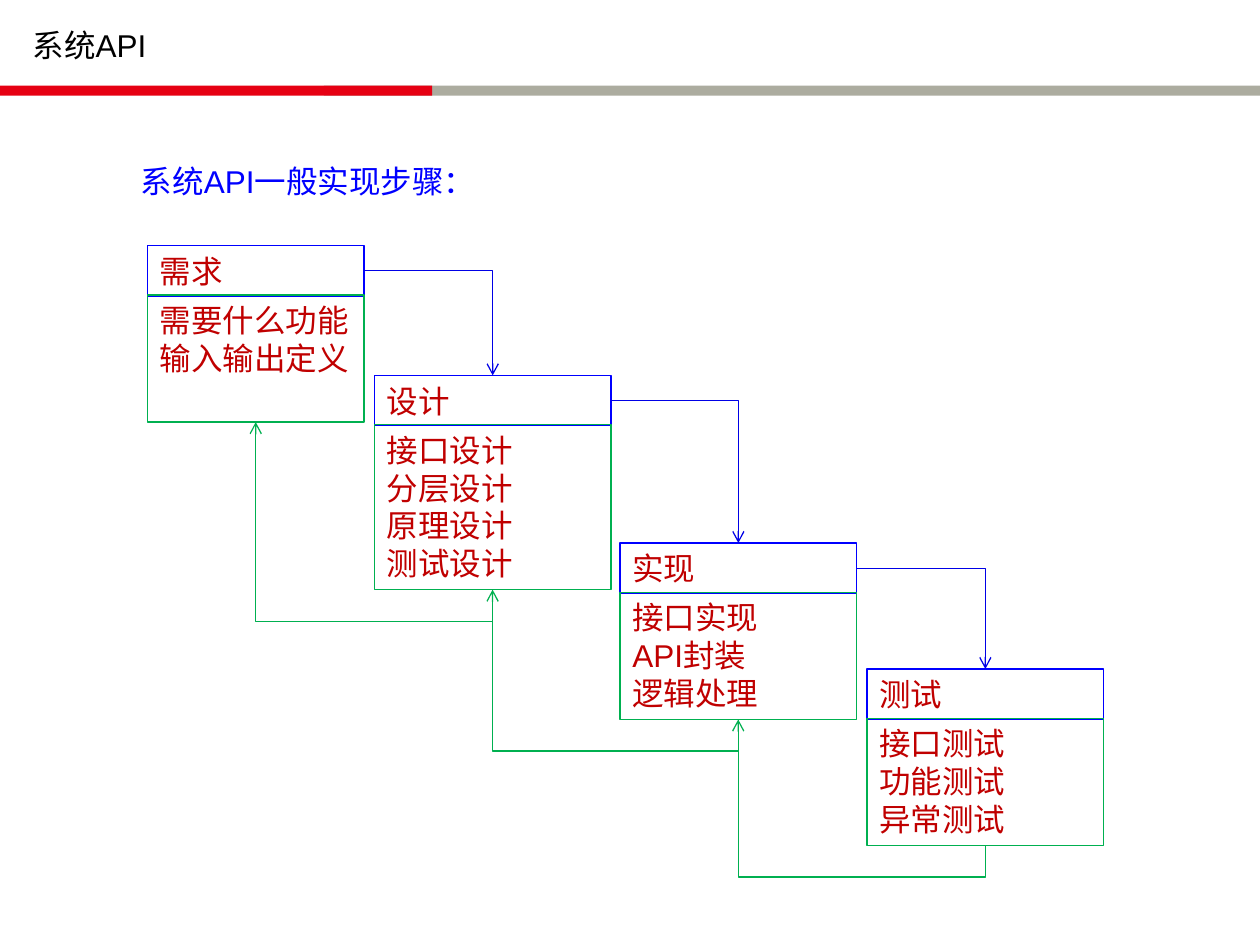
from lxml import etree
from pptx import Presentation
from pptx.dml.color import RGBColor
from pptx.enum.shapes import MSO_CONNECTOR, MSO_SHAPE
from pptx.enum.text import MSO_ANCHOR, MSO_AUTO_SIZE, PP_ALIGN
from pptx.oxml.ns import qn
from pptx.util import Inches, Pt

BLUE, GREEN, RED = "0000FF", "00B050", "C00000"
TOP, BOTTOM, RIGHT = 0, 2, 3
HEAD_H, HEAD_STEP, LINE_H, LOOP_DROP = 0.4, 0.39, 0.3, 0.25

STEPS = [
    (1.17, 1.95, 1.72, "需求", ["需要什么功能", "输入输出定义"]),
    (2.97, 2.98, 1.88, "设计", ["接口设计", "分层设计", "原理设计", "测试设计"]),
    (4.92, 4.31, 1.88, "实现", ["接口实现", "API封装", "逻辑处理"]),
    (6.88, 5.31, 1.88, "测试", ["接口测试", "功能测试", "异常测试"]),
]


def rgb(value):
    """Turn a hex string into a colour."""
    return RGBColor.from_string(value)


def write(sp, lines, color):
    """Write left-aligned 18 pt lines from the top of a shape."""
    tf = sp.text_frame
    tf.word_wrap = True
    tf.auto_size = MSO_AUTO_SIZE.NONE
    tf.vertical_anchor = MSO_ANCHOR.TOP
    for i, line in enumerate(lines):
        p = tf.add_paragraph() if i else tf.paragraphs[0]
        p.alignment = PP_ALIGN.LEFT
        r = p.add_run()
        r.text = line
        r.font.size = Pt(18)
        r.font.name = "Arial"
        r.font.color.rgb = rgb(color)


def add_bar(s, left, top, width, height, color):
    """Add one solid bar."""
    sp = s.shapes.add_shape(MSO_SHAPE.RECTANGLE, Inches(left), Inches(top),
                            Inches(width), Inches(height))
    sp.shadow.inherit = False
    sp.fill.solid()
    sp.fill.fore_color.rgb = rgb(color)
    sp.line.fill.background()


def add_header(s, left, top, width):
    """Place the slide title and the two-colour rule below it."""
    title = s.shapes.title
    title.left, title.top = Inches(left + 0.16), Inches(top + 0.16)
    title.width, title.height = Inches(width - 0.32), Inches(0.4)
    write(title, ["系统API"], "000000")
    add_bar(s, left + 2.57, top + 0.68, width - 2.57, 0.08, "ACAC9F")
    add_bar(s, left, top + 0.68, 3.43, 0.08, "E60013")


def add_heading(s, left, top, width, height):
    """Place the heading above the steps."""
    sp = s.shapes.add_textbox(Inches(left), Inches(top), Inches(width), Inches(height))
    write(sp, ["系统API一般实现步骤："], BLUE)


def add_box(s, left, top, width, height, color, lines):
    """Add an outlined box of text."""
    sp = s.shapes.add_shape(MSO_SHAPE.RECTANGLE, Inches(left), Inches(top),
                            Inches(width), Inches(height))
    sp.shadow.inherit = False
    sp.fill.background()
    sp.line.color.rgb = rgb(color)
    sp.line.width = Pt(0.75)
    write(sp, lines, RED)
    return sp


def add_step(s, left, top, width, name, items):
    """Add a step as a named box over its list of tasks."""
    head = add_box(s, left, top, width, HEAD_H, BLUE, [name])
    height = 0.11 + LINE_H * max(3, len(items))
    body = add_box(s, left, top + HEAD_STEP, width, height, GREEN, items)
    return head, body


def add_arrow(s, start, start_site, end, end_site, color):
    """Add an elbow arrow glued to two boxes."""
    c = s.shapes.add_connector(MSO_CONNECTOR.ELBOW, 0, 0, 0, 0)
    c.begin_connect(start, start_site)
    c.end_connect(end, end_site)
    c.line.color.rgb = rgb(color)
    c.line.width = Pt(0.75)
    etree.SubElement(c.line._get_or_add_ln(), qn("a:tailEnd"), type="arrow")
    etree.SubElement(c._element.spPr, qn("a:effectLst"))
    return c


def add_forward(s, start, end):
    """Lead from the side of one step down to the top of the next."""
    c = add_arrow(s, start, RIGHT, end, TOP, "0000E6")
    c._element.spPr.find(qn("a:prstGeom")).set("prst", "bentConnector2")


def add_feedback(s, start, end):
    """Loop from below one step back up to the bottom of the previous one."""
    c = add_arrow(s, start, BOTTOM, end, BOTTOM, GREEN)
    x1, y1, x2, y2 = c.begin_x, c.begin_y, c.end_x, c.end_y
    rise, run = y1 - y2, x1 - x2
    c.left, c.top = (x1 + x2 - rise) // 2, (y1 + y2 - run) // 2
    c.width, c.height = rise, run
    xfrm = c._element.spPr.find(qn("a:xfrm"))
    for name, value in (("rot", "5400000"), ("flipH", "1"), ("flipV", "0")):
        xfrm.set(name, value)
    guides = c._element.spPr.find(qn("a:prstGeom")).find(qn("a:avLst"))
    bend = round(-Inches(LOOP_DROP) / rise * 100000)
    etree.SubElement(guides, qn("a:gd"), name="adj1", fmla=f"val {bend}")


def add_steps(s):
    """Place the staircase of steps and join neighbours both ways."""
    boxes = [add_step(s, *step) for step in STEPS]
    pairs = list(zip(boxes, boxes[1:]))
    for (head, _), (next_head, _) in pairs:
        add_forward(s, head, next_head)
    for (_, body), (_, next_body) in pairs:
        add_feedback(s, next_body, body)


def main():
    """Build and save the slide."""
    prs = Presentation()
    prs.slide_width, prs.slide_height = Inches(10), Inches(7.5)
    s = prs.slides.add_slide(prs.slide_layouts[5])
    add_header(s, 0, 0, 10)
    add_heading(s, 1.02, 1.24, 6.95, 0.4)
    add_steps(s)
    prs.save("out.pptx")


if __name__ == "__main__":
    main()
